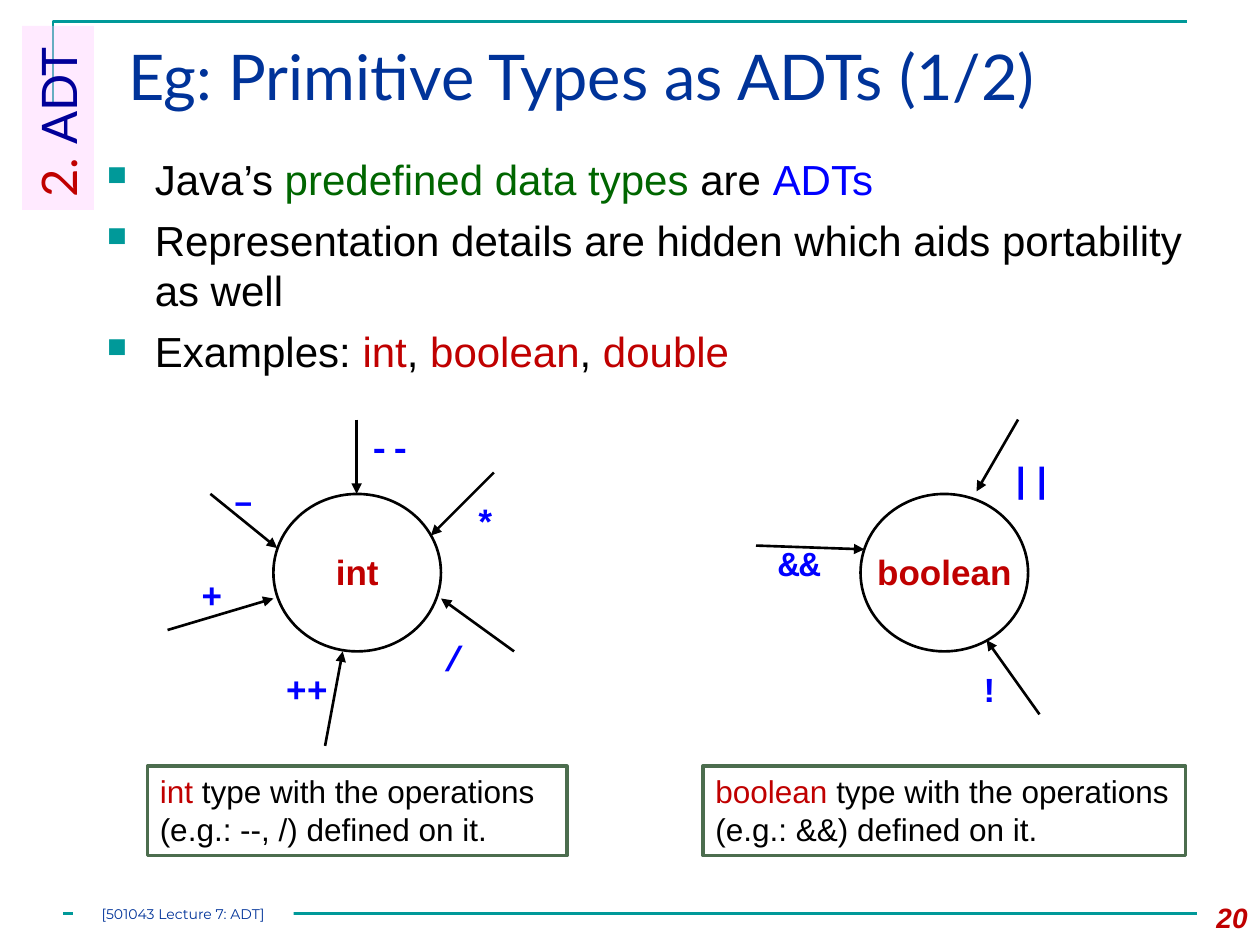
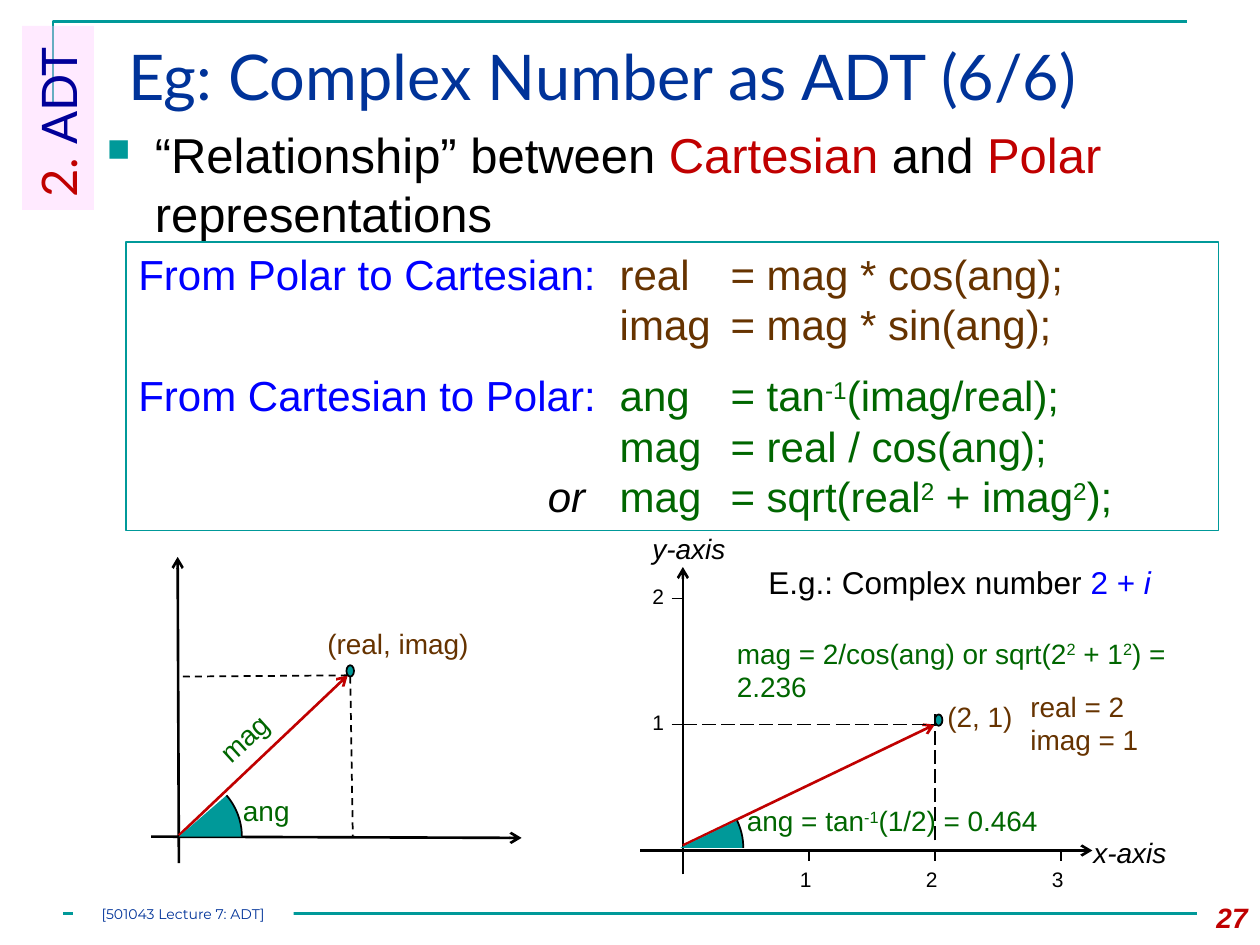
from lxml.etree import SubElement
from pptx import Presentation
from pptx.dml.color import RGBColor
from pptx.enum.dml import MSO_LINE
from pptx.enum.shapes import MSO_CONNECTOR as CONN, MSO_SHAPE as SHAPE
from pptx.enum.text import MSO_ANCHOR as ANCHOR, MSO_AUTO_SIZE as FIT, PP_ALIGN as ALIGN
from pptx.oxml.ns import qn
from pptx.util import Inches, Pt

TEAL = RGBColor(0x00, 0x99, 0x99)
NAVY = RGBColor(0x00, 0x33, 0x99)
INK = RGBColor(0x00, 0x00, 0x99)
RED = RGBColor(0xC0, 0x00, 0x00)
BLUE = RGBColor(0x00, 0x00, 0xFF)
GREEN = RGBColor(0x00, 0x66, 0x00)
BROWN = RGBColor(0x66, 0x33, 0x00)
MOSS = RGBColor(0x4C, 0x6D, 0x4E)
PINK = RGBColor(0xFF, 0xCC, 0xFF)
BLACK = RGBColor(0x00, 0x00, 0x00)
WHITE = RGBColor(0xFF, 0xFF, 0xFF)

ITALIC = {"italic": True}
BOLD = {"bold": True}
SUPER = {"baseline": "30000"}


def write(s, box, paras, size, font="Arial", wrap=True, fit=True, align=None,
          rect=False, fill=None, line=None, anchor=ANCHOR.TOP):
    box = [Inches(v) for v in box]
    sp = s.shapes.add_shape(SHAPE.RECTANGLE, *box) if rect else s.shapes.add_textbox(*box)
    if rect:
        sp.shadow.inherit = False
        sp.fill.background()
        sp.line.fill.background()
    if fill:
        sp.fill.solid()
        sp.fill.fore_color.rgb = fill
    if line:
        sp.line.color.rgb, sp.line.width = line[0], Pt(line[1])
    tf = sp.text_frame
    tf.word_wrap = wrap
    tf.auto_size = FIT.SHAPE_TO_FIT_TEXT if fit else FIT.NONE
    tf.vertical_anchor = anchor
    for i, runs in enumerate(paras):
        p = tf.paragraphs[0] if i == 0 else tf.add_paragraph()
        p.alignment = align or ALIGN.LEFT
        for text, color, *fmt in runs:
            r = p.add_run()
            r.text = text
            r.font.name, r.font.size, r.font.color.rgb = font, Pt(size), color
            for key, value in (fmt[0] if fmt else {}).items():
                if key == "baseline":
                    r._r.get_or_add_rPr().set(key, value)
                else:
                    setattr(r.font, key, value)
    return sp


def connect(s, start, end, color=BLACK, width=1.5, tail=None, dash=None):
    c = s.shapes.add_connector(CONN.STRAIGHT, *[Inches(v) for v in (*start, *end)])
    c.line.color.rgb, c.line.width = color, Pt(width)
    if dash:
        c.line.dash_style = dash
    if tail:
        SubElement(c.line._get_or_add_ln(), qn("a:tailEnd"), type=tail)
    SubElement(c._element.spPr, qn("a:effectLst"))


prs = Presentation()
prs.slide_width, prs.slide_height = Inches(10), Inches(7.5)

PAGES = [
    ("Eg: Primitive Types as ADTs (1/2)", "20", (0.75, 1.17, 8.75, 2), 24, [
        [("Java’s ", BLACK), ("predefined data types ", GREEN), ("are ", BLACK), ("ADTs", BLUE)],
        [("Representation details are hidden which aids portability as well", BLACK)],
        [("Examples: ", BLACK), ("int", RED), (", ", BLACK), ("boolean", RED),
         (", ", BLACK), ("double", RED)],
    ]),
    ("Eg: Complex Number as ADT (6/6)", "27", (0.75, 0.94, 8.75, 1.06), 28, [
        [("“Relationship” between ", BLACK), ("Cartesian", RED), (" and ", BLACK),
         ("Polar", RED), (" representations", BLACK)],
    ]),
]
slides = []
for title, number, body_box, body_size, body in PAGES:
    s = prs.slides.add_slide(prs.slide_layouts[6])
    slides.append(s)
    fb = s.shapes.build_freeform(Inches(0.42), Inches(0.83))
    fb.add_line_segments([(Inches(0.42), Inches(0.17)), (Inches(9.42), Inches(0.17))], close=False)
    corner = fb.convert_to_shape()
    corner.shadow.inherit = False
    corner.fill.background()
    corner.line.color.rgb, corner.line.width = TEAL, Pt(1.5)
    connect(s, (0.5, 7.25), (9.5, 7.25), TEAL)
    write(s, (0.92, 0.25, 8.83, 0.86), [[(title, NAVY)]], 36, "Lato", fit=False)
    write(s, (9.33, 7.1, 0.67, 0.4), [[(number, RED, BOLD | ITALIC)]], 16,
          fit=False, align=ALIGN.RIGHT)
    tag = write(s, (-0.27, 0.65, 1.46, 0.57), [[("2. ", RED), ("ADT", INK)]], 28, "Lato",
                rect=True, fill=PINK)
    tag.rotation = 270
    SubElement(tag._element.spPr.find(".//" + qn("a:srgbClr")), qn("a:alpha"), val="40000")
    footer = write(s, (0.58, 7.17, 1.75, 0.17), [[("[501043 Lecture 7: ADT]", NAVY)]], 8,
                   "Montserrat", fit=False, align=ALIGN.CENTER, rect=True, fill=WHITE,
                   anchor=ANCHOR.MIDDLE)
    for side in ("left", "right", "top", "bottom"):
        setattr(footer.text_frame, "margin_" + side, 0)
    bullets = write(s, body_box, body, body_size, fit=False)
    for i, p in enumerate(bullets.text_frame.paragraphs):
        pPr = p._p.get_or_add_pPr()
        pPr.set("marL", str(Inches(0.38)))
        pPr.set("indent", str(Inches(-0.38)))
        SubElement(SubElement(pPr, qn("a:buClr")), qn("a:srgbClr"), val=str(TEAL))
        SubElement(pPr, qn("a:buSzPct"), val="65000")
        SubElement(pPr, qn("a:buChar"), char="■")
        if i:
            p.space_before = Pt(6)

types_slide, complex_slide = slides

s = types_slide
TYPES = [
    ("int", 2.17, (1.17, 6.08, 3.33, 0.71), "int", " type with the operations (e.g.: --, /) defined on it.", [
        ("+", (1.5, 4.5), (1.33, 5), (2.17, 4.75)),
        ("–", (1.75, 3.75), (1.67, 3.92), (2.2, 4.35)),
        ("*", (3.67, 3.92), (3.92, 3.75), (3.42, 4.25)),
        ("++", (2.17, 5.25), (2.58, 5.92), (2.72, 5.17)),
        ("/", (3.42, 5), (4.08, 5.17), (3.5, 4.75)),
        ("--", (2.83, 3.33), (2.83, 3.33), (2.83, 3.92)),
    ]),
    ("boolean", 6.83, (5.58, 6.08, 3.83, 0.71), "boolean ", "type with the operations (e.g.: &&) defined on it.", [
        ("&&", (6.08, 4.25), (6, 4.33), (6.86, 4.36)),
        ("!", (7.67, 5.25), (8.25, 5.67), (7.83, 5.08)),
        ("||", (7.92, 3.58), (8.08, 3.33), (7.75, 3.9)),
    ]),
]
for name, left, caption_box, lead, rest, operations in TYPES:
    for symbol, at, start, end in operations:
        write(s, (*at, 0.2 + 0.17 * len(symbol), 0.44), [[(symbol, BLUE, BOLD)]], 20,
              "Courier New", wrap=False)
        connect(s, start, end, tail="triangle")
    circle = s.shapes.add_shape(SHAPE.OVAL, Inches(left), Inches(3.92), Inches(1.33), Inches(1.25))
    circle.shadow.inherit = False
    circle.fill.background()
    circle.line.color.rgb, circle.line.width = BLACK, Pt(1.5)
    write(s, (left + 0.02, 4.32, 1.29, 0.44), [[(name, RED, BOLD)]], 20, align=ALIGN.CENTER)
    write(s, caption_box, [[(lead, RED), (rest, BLACK)]], 18, rect=True, fill=WHITE, line=(MOSS, 2))

s = complex_slide
formulas = write(s, (1, 1.92, 8.67, 2.29), [
    [("From Polar to Cartesian:\t", BLUE), ("real\t= mag * cos(ang);", BROWN)],
    [("\timag\t= mag * sin(ang);", BROWN)],
    [("From Cartesian to Polar:\t", BLUE), ("ang\t= tan", GREEN), ("-1", GREEN, SUPER),
     ("(imag/real);", GREEN)],
    [("\tmag\t= real / cos(ang);", GREEN)],
    [("\tor", BLACK, ITALIC), ("\tmag\t= sqrt(real", GREEN), ("2", GREEN, SUPER),
     (" + imag", GREEN), ("2", GREEN, SUPER), (");", GREEN)],
], 24, rect=True, line=(TEAL, 0.75))
paragraphs = formulas.text_frame.paragraphs
for p in paragraphs:
    tabs = SubElement(p._p.get_or_add_pPr(), qn("a:tabLst"))
    for stop in ([3.25] if p is paragraphs[-1] else []) + [3.82, 4.7]:
        SubElement(tabs, qn("a:tab"), pos=str(Inches(stop)), algn="l")
paragraphs[2].space_before = Pt(12)

PLOTS = [
    ((0.92, 6.14), 319.13, (2.75, 5.28), (1.42, 6.63), (2.76, 5.36),
     [((1.42, 6.85), (1.41, 4.42)), ((1.2, 6.64), (4.14, 6.65))],
     [((2.78, 5.37), (2.8, 6.64)), ((2.76, 5.36), (1.44, 5.37))], MSO_LINE.DASH),
    ((4.9, 6.23), 334.25, (7.42, 5.67), (5.42, 6.71), (7.42, 5.75),
     [((5.42, 6.94), (5.42, 4.5)), ((5.08, 6.75), (8.67, 6.75))],
     [((5.42, 5.75), (7.42, 5.75)), ((7.42, 6.67), (7.42, 5.67))], MSO_LINE.LONG_DASH),
]
for arc_at, angle, dot_at, origin, tip, axes, guides, dash in PLOTS:
    for start, end in axes:
        connect(s, start, end, tail="arrow")
    dot = s.shapes.add_shape(SHAPE.OVAL, *[Inches(v) for v in (*dot_at, 0.06, 0.09)])
    connect(s, origin, tip, RED, tail="arrow")
    arc = s.shapes.add_shape(SHAPE.ARC, *[Inches(v) for v in (*arc_at, 1, 1)])
    arc.adjustments[0], arc.adjustments[1] = angle * 0.6, 0
    for sp in (dot, arc):
        sp.shadow.inherit = False
        sp.fill.solid()
        sp.fill.fore_color.rgb = TEAL
        sp.line.color.rgb, sp.line.width = BLACK, Pt(1)
    for start, end in guides:
        connect(s, start, end, width=1, dash=dash)

for i in range(3):
    connect(s, (6.42 + i, 6.75), (6.42 + i, 6.83), width=1)
    write(s, (6.25 + i, 6.83, 0.29, 0.3), [[(str(i + 1), BLACK)]], 12, wrap=False)
for i in range(2):
    connect(s, (5.33, 5.75 - i), (5.42, 5.75 - i), width=0.75)
    write(s, (5.08, 5.58 - i, 0.29, 0.3), [[(str(i + 1), BLACK)]], 12, wrap=False)

for box, text, color, fmt, angle in [
    ((1.83, 6.25, 0.58, 0.37), "ang", GREEN, {}, 0),
    ((1.62, 5.67, 0.64, 0.37), "mag", GREEN, {}, 317.8),
    ((2.5, 4.92, 1.34, 0.37), "(real, imag)", BROWN, {}, 0),
    ((5.08, 4.17, 0.79, 0.37), "y-axis", BLACK, ITALIC, 0),
    ((8.58, 6.58, 0.79, 0.37), "x-axis", BLACK, ITALIC, 0),
    ((7.42, 5.5, 0.73, 0.37), "(2, 1)", BROWN, {}, 0),
]:
    write(s, box, [[(text, color, fmt)]], 16, wrap=False).rotation = angle
write(s, (8.08, 5.42, 1.07, 0.64), [[("real = 2", BROWN)], [("imag = 1", BROWN)]], 16, wrap=False)
write(s, (5.83, 6.33, 2.67, 0.37),
      [[("ang = tan", GREEN), ("-1", GREEN, SUPER), ("(1/2) = 0.464", GREEN)]], 16)
write(s, (5.75, 5, 3.67, 0.64),
      [[("mag = 2/cos(ang) or sqrt(2", GREEN), ("2", GREEN, SUPER), (" + 1", GREEN),
        ("2", GREEN, SUPER), (") = 2.236", GREEN)]], 16)
write(s, (6, 4.42, 3.42, 0.4),
      [[("E.g.: Complex number ", BLACK), ("2 + ", BLUE), ("i", BLUE, ITALIC)]], 18)

prs.save("out.pptx")
